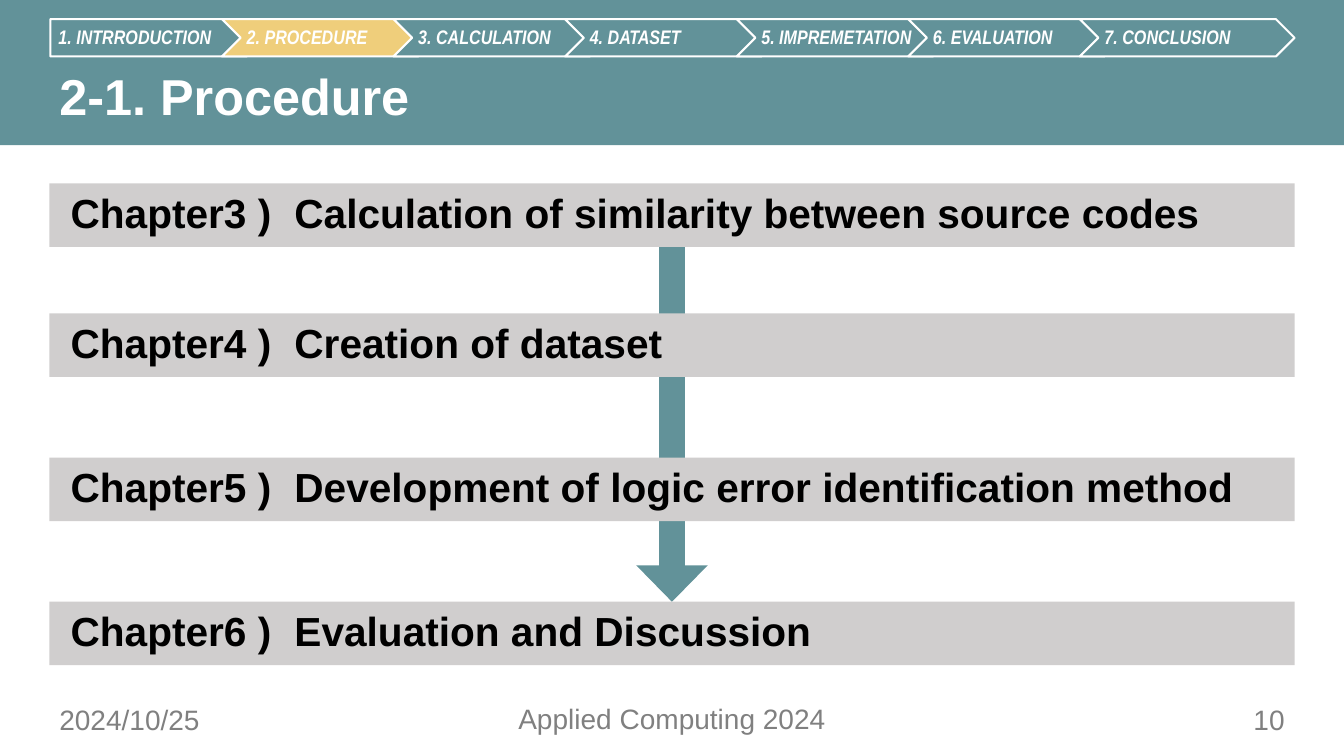
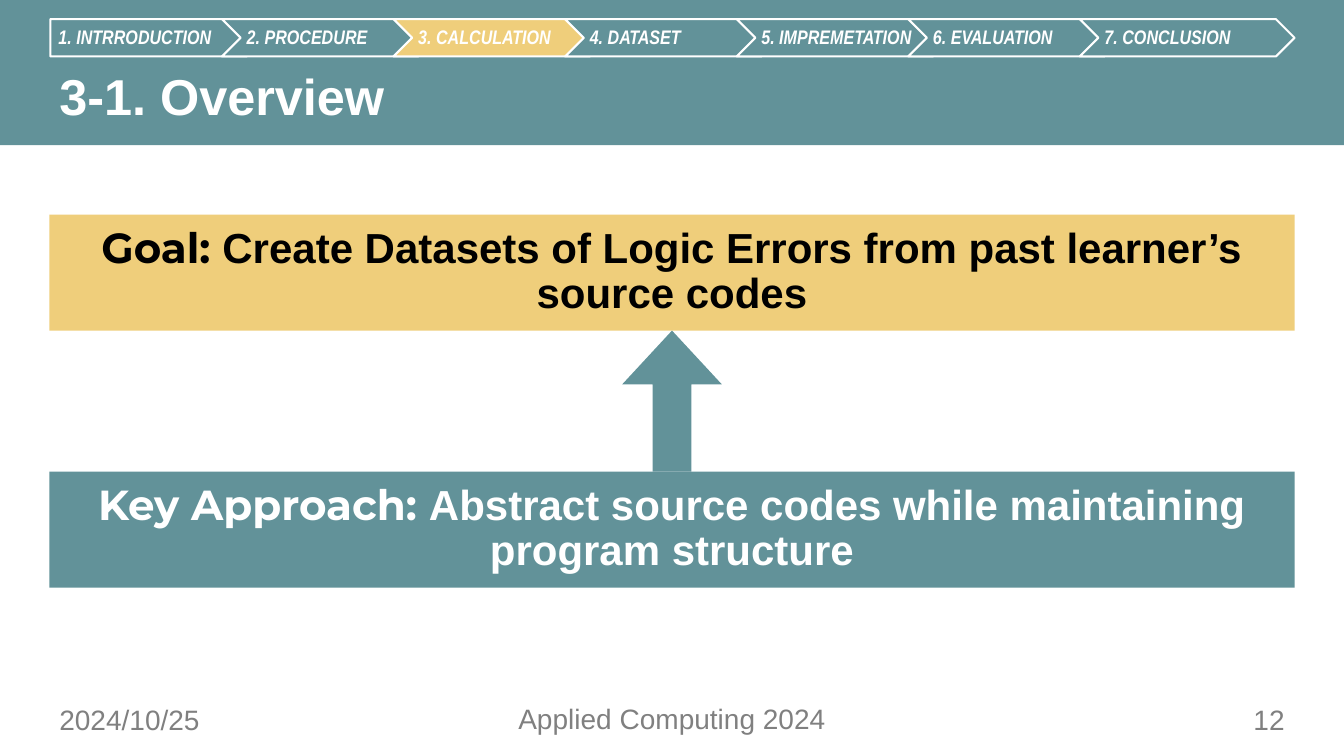
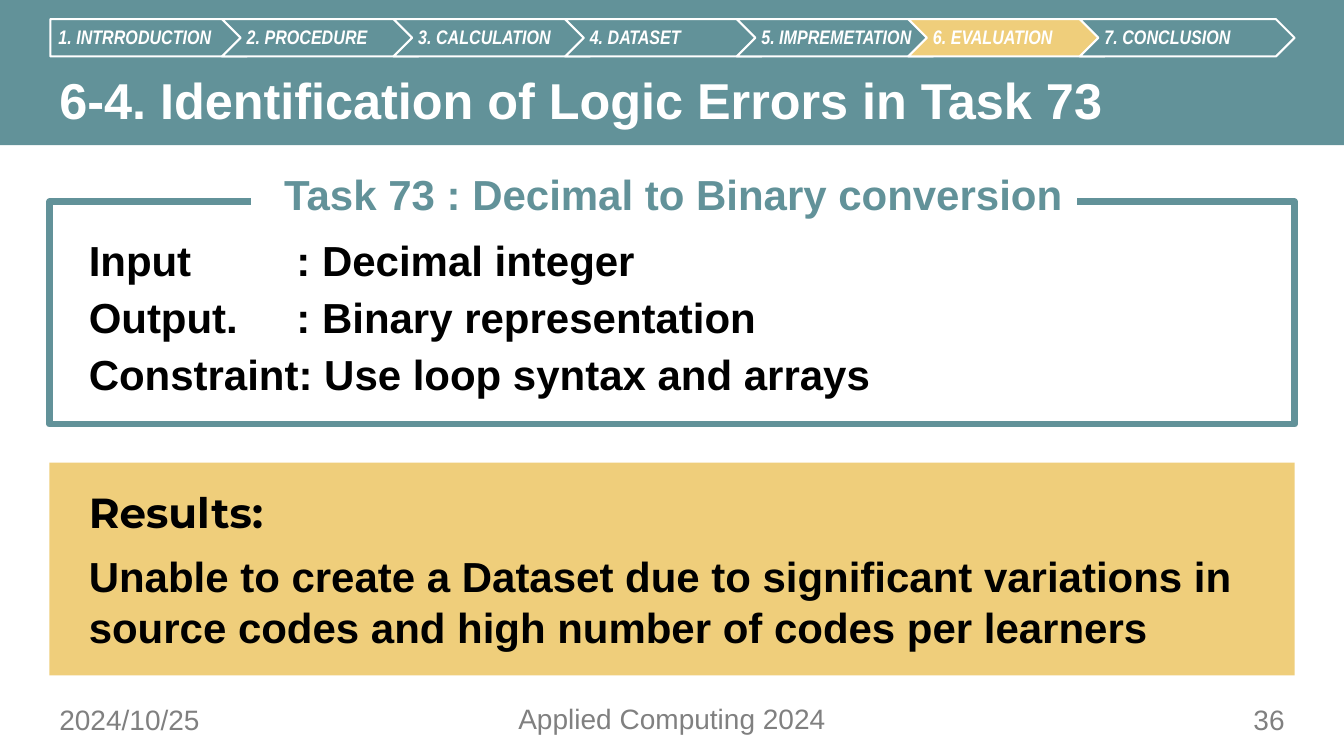
from pptx import Presentation
from pptx.dml.color import RGBColor
from pptx.enum import shapes, text
from pptx.oxml import ns
from pptx.util import Inches, Pt
from lxml import etree

COLORS = {
    "teal": "629299",
    "gold": "EFCE7B",
    "silver": "D0CECE",
    "gray": "808080",
    "white": "FFFFFF",
    "black": "000000",
}
SHAPE = shapes.MSO_SHAPE
ALIGN = text.PP_ALIGN
ANCHOR = text.MSO_ANCHOR

SLIDE_W, SLIDE_H = 13.33, 7.5
LEFT, WIDTH = 0.49, 12.35
HEADER = (0, 0, SLIDE_W, 1.44)
FOOTER = (LEFT, 6.94, WIDTH, 0.4)
STEPS = [
    "1. INTRRODUCTION", "2. PROCEDURE", "3. CALCULATION", "4. DATASET",
    "5. IMPREMETATION", "6. EVALUATION", "7. CONCLUSION",
]
DATE, EVENT = "2024/10/25", "Applied Computing 2024"

INSETS = (0.1, 0.05, 0.1, 0.05)
WIDE_INSETS = (0.39, 0.05, 0.39, 0.05)
STEP_FONT = {"size": Pt(14), "name": "Arial Narrow", "bold": True, "italic": True}
TITLE_FONT = {"size": Pt(36), "name": "Arial", "bold": True}
FOOTER_FONT = {"size": Pt(20), "name": "Arial"}
ROW_FONT = {"size": Pt(29), "name": "Arial", "bold": True}
BODY_FONT = {"size": Pt(30), "name": "Arial", "bold": True}
LABEL_FONT = {**BODY_FONT, "name": "Montserrat"}
TIGHT = {"line_spacing": 0.9, "space_before": Pt(10)}


def rgb(color):
    return RGBColor.from_string(COLORS[color])


def apply(target, values):
    for key, value in values.items():
        setattr(target, key, value)


def add_block(slide, kind, box, fill=None, line=None, line_width=1.5, adjust=()):
    block = slide.shapes.add_shape(kind, *map(Inches, box))
    block.shadow.inherit = False
    for index, value in enumerate(adjust):
        block.adjustments[index] = value
    if fill:
        block.fill.solid()
        block.fill.fore_color.rgb = rgb(fill)
    else:
        block.fill.background()
    if line:
        block.line.color.rgb = rgb(line)
        block.line.width = Pt(line_width)
    else:
        block.line.fill.background()
    return block


def add_tab(paragraph, position):
    properties = paragraph._p.get_or_add_pPr()
    stops = etree.SubElement(properties, ns.qn("a:tabLst"))
    etree.SubElement(stops, ns.qn("a:tab"), pos=str(Inches(position)), algn="l")


def write(holder, paragraphs, color, layout=None, insets=INSETS,
          anchor=ANCHOR.MIDDLE, wrap=True, tab=None):
    frame = holder.text_frame
    margins = ("margin_left", "margin_top", "margin_right", "margin_bottom")
    apply(frame, dict(zip(margins, map(Inches, insets))))
    apply(frame, {"vertical_anchor": anchor, "word_wrap": wrap})
    for index, runs in enumerate(paragraphs):
        paragraph = frame.add_paragraph() if index else frame.paragraphs[0]
        apply(paragraph, {"alignment": ALIGN.LEFT, **(layout or {})})
        if tab:
            add_tab(paragraph, tab)
        for words, font in runs:
            run = paragraph.add_run()
            run.text = words
            apply(run.font, font)
            run.font.color.rgb = rgb(color)


def add_text(slide, box, *args, **options):
    write(slide.shapes.add_textbox(*map(Inches, box)), *args, **options)


def add_steps(slide, box, current):
    left, top, width, height = box
    step_width = 2.13
    pitch = (width - step_width) / (len(STEPS) - 1)
    for index, name in enumerate(STEPS):
        kind = SHAPE.CHEVRON if index else SHAPE.PENTAGON
        step = add_block(slide, kind, (left + index * pitch, top, step_width, height),
                         "gold" if index == current else "teal", "white", adjust=[0.5])
        write(step, [[(name, STEP_FONT)]], "white", {"line_spacing": 0.9},
              (0.06 if index else 0.08, 0.04, 0.02, 0.04))


def add_header(slide, box, title, current, spacing):
    left, top, width, height = box
    add_block(slide, SHAPE.RECTANGLE, box, "teal")
    add_text(slide, (left + LEFT, top + 0.53, WIDTH, height - 0.53),
             [[(title, TITLE_FONT)]], "white", {"line_spacing": spacing})
    add_steps(slide, (left + 0.5, top + 0.19, 12.34, 0.37), current)


def add_footer(slide, box, number):
    left, top, width, height = box
    parts = [
        (DATE, left, top, 3, ALIGN.LEFT),
        (EVENT, left + (width - 5) / 2, top - 0.01, 5, ALIGN.CENTER),
        (str(number), left + width - 3, top, 3, ALIGN.RIGHT),
    ]
    for words, part_left, part_top, part_width, alignment in parts:
        add_text(slide, (part_left, part_top, part_width, height),
                 [[(words, FOOTER_FONT)]], "gray", {"alignment": alignment})


def start_slide(deck, title, current, number, spacing=0.9):
    slide = deck.slides.add_slide(deck.slide_layouts[6])
    add_header(slide, HEADER, title, current, spacing)
    add_footer(slide, FOOTER, number)
    return slide


def add_chapters(slide, box, chapters):
    left, top, width, height = box
    row_height, arrow_width = 0.63, 0.71
    add_block(slide, SHAPE.DOWN_ARROW,
              (left + (width - arrow_width) / 2, top + row_height,
               arrow_width, height - 2 * row_height),
              "teal", adjust=[0.36, 0.51])
    for offset, chapter, topic in chapters:
        row = add_block(slide, SHAPE.RECTANGLE,
                        (left, top + offset, width, row_height), "silver")
        write(row, [[(f"{chapter} )\t{topic}", ROW_FONT)]], "black", TIGHT,
              (0.21, 0.05, 0.1, 0.05), tab=2.22)


def add_goal(slide, box, goal, approach):
    left, top, width, height = box
    banner_height, arrow_width = 1.15, 0.99
    banners = [
        (top, "gold", "black", goal),
        (top + height - banner_height, "teal", "white", approach),
    ]
    for banner_top, fill, color, (label, sentence) in banners:
        banner = add_block(slide, SHAPE.RECTANGLE,
                           (left, banner_top, width, banner_height), fill)
        write(banner, [[(label + " ", LABEL_FONT), (sentence, BODY_FONT)]], color,
              {**TIGHT, "alignment": ALIGN.CENTER})
    add_block(slide, SHAPE.UP_ARROW,
              (left + (width - arrow_width) / 2, top + banner_height,
               arrow_width, height - 2 * banner_height),
              "teal", adjust=[0.39, 0.54])


def add_task(slide, box, heading, facts):
    left, top, width, height = box
    add_block(slide, SHAPE.RECTANGLE, box, line="teal", line_width=4.5)
    add_text(slide, (left, top + 0.22, width, height - 0.29),
             [[(fact, BODY_FONT)] for fact in facts], "black",
             {"line_spacing": Pt(30.6), "space_before": Pt(10)}, WIDE_INSETS, tab=2.06)
    caption = add_block(slide, SHAPE.RECTANGLE, (left + 2, top - 0.38, 8.19, 0.61), "white")
    write(caption, [[(heading, BODY_FONT)]], "teal", {"alignment": ALIGN.CENTER},
          (0.29, 0.05, 0.1, 0.05), ANCHOR.TOP, False)


def add_results(slide, box, label, finding):
    panel = add_block(slide, SHAPE.RECTANGLE, box, "gold")
    write(panel, [[(label, LABEL_FONT)], [(finding, BODY_FONT)]], "black",
          {"space_before": Pt(10)}, WIDE_INSETS)


def main():
    deck = Presentation()
    deck.slide_width, deck.slide_height = Inches(SLIDE_W), Inches(SLIDE_H)

    procedure = start_slide(deck, "2-1. Procedure", 1, 10)
    add_chapters(procedure, (LEFT, 1.82, WIDTH, 4.78), [
        (0, "Chapter3", "Calculation of similarity between source codes"),
        (1.29, "Chapter4", "Creation of dataset"),
        (2.72, "Chapter5", "Development of logic error identification method"),
        (4.15, "Chapter6", "Evaluation and Discussion"),
    ])

    overview = start_slide(deck, "3-1. Overview", 2, 12)
    add_goal(overview, (LEFT, 2.13, WIDTH, 3.7),
             ("Goal:", "Create Datasets of Logic Errors from past learner’s source codes"),
             ("Key Approach:", "Abstract source codes while maintaining program structure"))

    evaluation = start_slide(
        deck, "6-4. Identification of Logic Errors in Task 73", 5, 36, 1.0)
    add_task(evaluation, (LEFT, 2, WIDTH, 2.21),
             "Task 73 : Decimal to Binary conversion",
             ["Input\t: Decimal integer", "Output.\t: Binary representation",
              "Constraint: Use loop syntax and arrays"])
    add_results(evaluation, (LEFT, 4.59, WIDTH, 2.11), "Results:",
                "Unable to create a Dataset due to significant variations in "
                "source codes and high number of codes per learners")

    deck.save("out.pptx")


if __name__ == "__main__":
    main()
